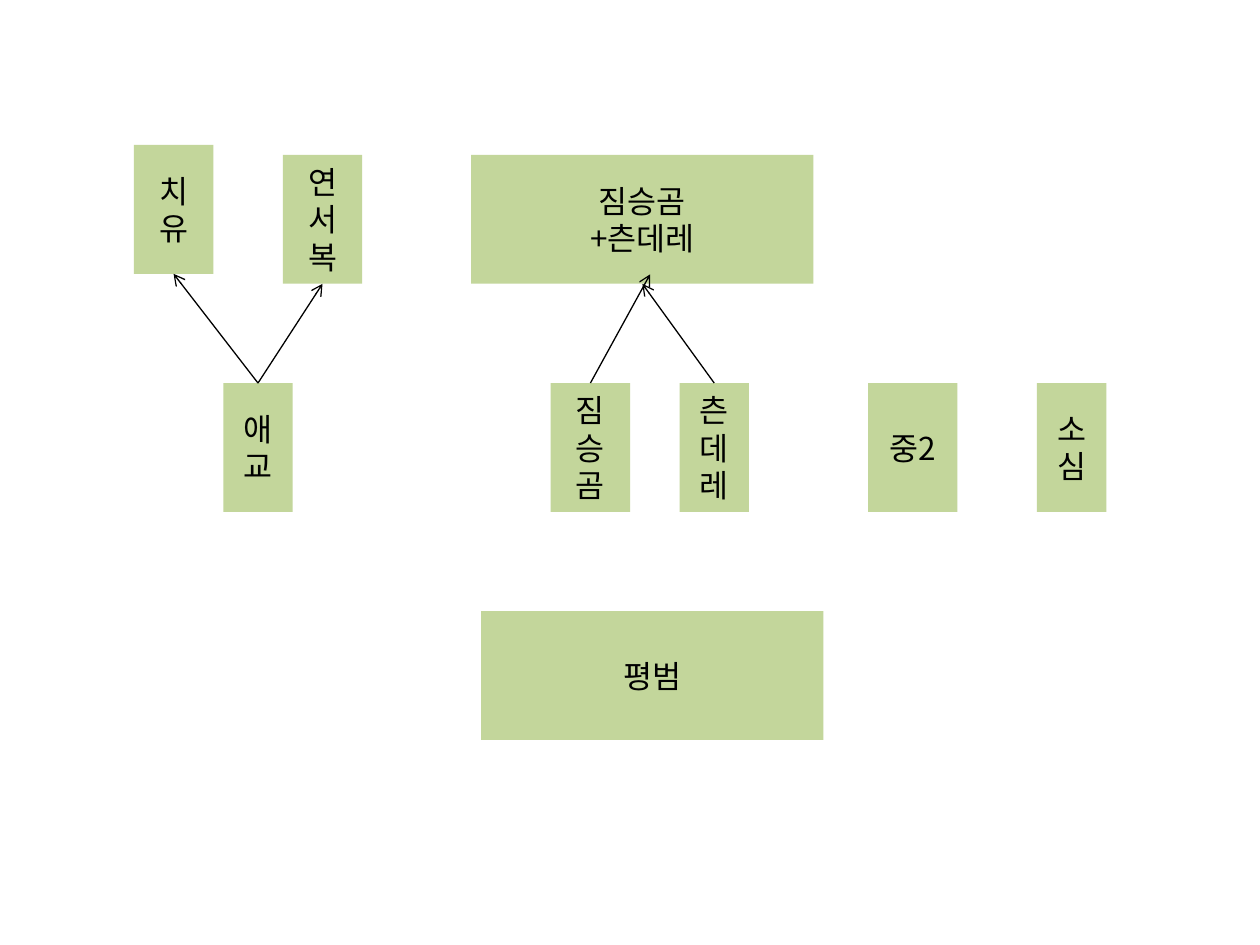
import pptx
import pptx.dml.color
import pptx.enum.shapes
import pptx.enum.text
import pptx.oxml.ns
import pptx.util
from lxml import etree

Pt = pptx.util.Pt
GREEN = pptx.dml.color.RGBColor(0xC3, 0xD6, 0x9B)
BLACK = pptx.dml.color.RGBColor(0, 0, 0)
FONT = "Noto Sans CJK KR"
TEXT_FORMAT = {"name": FONT, "size": Pt(18)}
BOX_HEIGHT = 73.7
UPPER, MIDDLE, LOWER = 88.5, 218.9, 349.2
NARROW, MEDIUM, BROAD, WIDE = 39.7, 45.4, 51, 195.6
BOTH = "짐승곰\n+츤데레"
TRAITS = [
    ("치유", 76.5, 82.8, MEDIUM),
    ("연서복", 161.6, UPPER, MEDIUM),
    ("애교", 127.6, MIDDLE, NARROW),
    ("츤데레", 388.3, MIDDLE, NARROW),
    ("중2", 496.1, MIDDLE, BROAD),
    ("소심", 592.5, MIDDLE, NARROW),
    (BOTH, 269.3, UPPER, WIDE),
    ("짐승곰", 314.7, MIDDLE, MEDIUM),
    ("평범", 275, LOWER, WIDE),
]
JOINED = [("애교", "치유"), ("애교", "연서복"), ("츤데레", BOTH)]
FREE_TIP = (371.5, 156.8)


def add_trait(page, label, left, top, width):
    """Add a green box with centred text."""
    box = page.shapes.add_shape(
        pptx.enum.shapes.MSO_SHAPE.RECTANGLE,
        Pt(left), Pt(top), Pt(width), Pt(BOX_HEIGHT))
    box.shadow.inherit = False
    box.fill.solid()
    box.fill.fore_color.rgb = GREEN
    box.line.fill.background()
    frame = box.text_frame
    frame.word_wrap = True
    frame.vertical_anchor = pptx.enum.text.MSO_ANCHOR.MIDDLE
    frame.text = label
    for para in frame.paragraphs:
        para.alignment = pptx.enum.text.PP_ALIGN.CENTER
        for span in para.runs:
            for name, value in TEXT_FORMAT.items():
                setattr(span.font, name, value)
            span.font.color.rgb = BLACK
            properties = span._r.get_or_add_rPr()
            etree.SubElement(properties, pptx.oxml.ns.qn("a:ea"), typeface=FONT)
    return box


def add_arrow(page, source, target=None, tip=(0, 0)):
    """Add an arrow from the top of a box to another box's bottom or a free tip."""
    arrow = page.shapes.add_connector(
        pptx.enum.shapes.MSO_CONNECTOR.STRAIGHT,
        source.left, source.top, Pt(tip[0]), Pt(tip[1]))
    arrow.begin_connect(source, 0)
    if target is not None:
        arrow.end_connect(target, 2)
    arrow.line.width = Pt(0.75)
    arrow.line.color.rgb = BLACK
    outline = arrow.line._get_or_add_ln()
    etree.SubElement(outline, pptx.oxml.ns.qn("a:tailEnd"), type="arrow")
    etree.SubElement(arrow._element.spPr, pptx.oxml.ns.qn("a:effectLst"))


def main():
    """Build the trait diagram and save it."""
    deck = pptx.Presentation()
    deck.slide_width, deck.slide_height = Pt(720), Pt(540)
    page = deck.slides.add_slide(deck.slide_layouts[6])
    boxes = {trait[0]: add_trait(page, *trait) for trait in TRAITS}
    for source, target in JOINED:
        add_arrow(page, boxes[source], boxes[target])
    add_arrow(page, boxes["짐승곰"], tip=FREE_TIP)
    deck.save("out.pptx")


if __name__ == "__main__":
    main()
